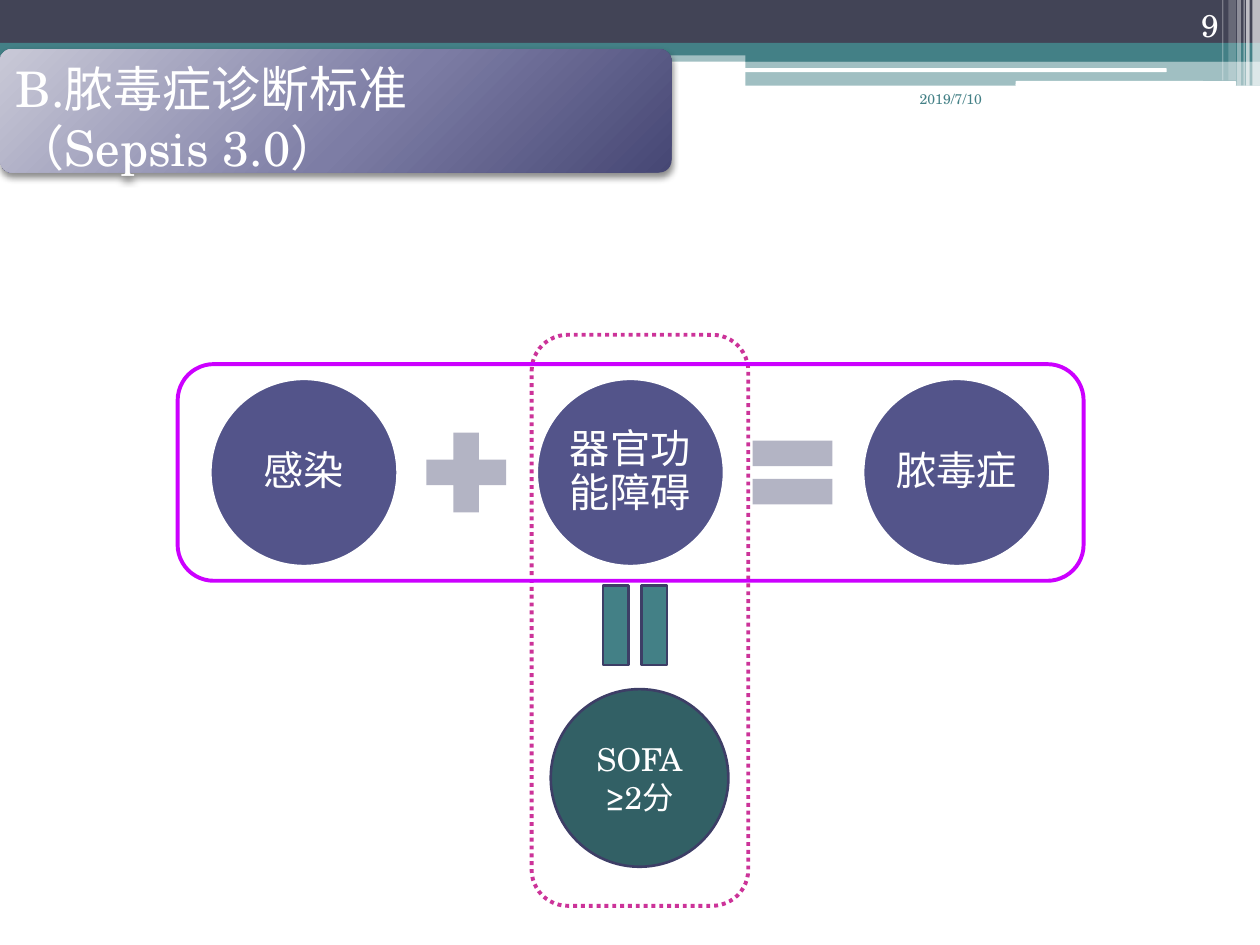
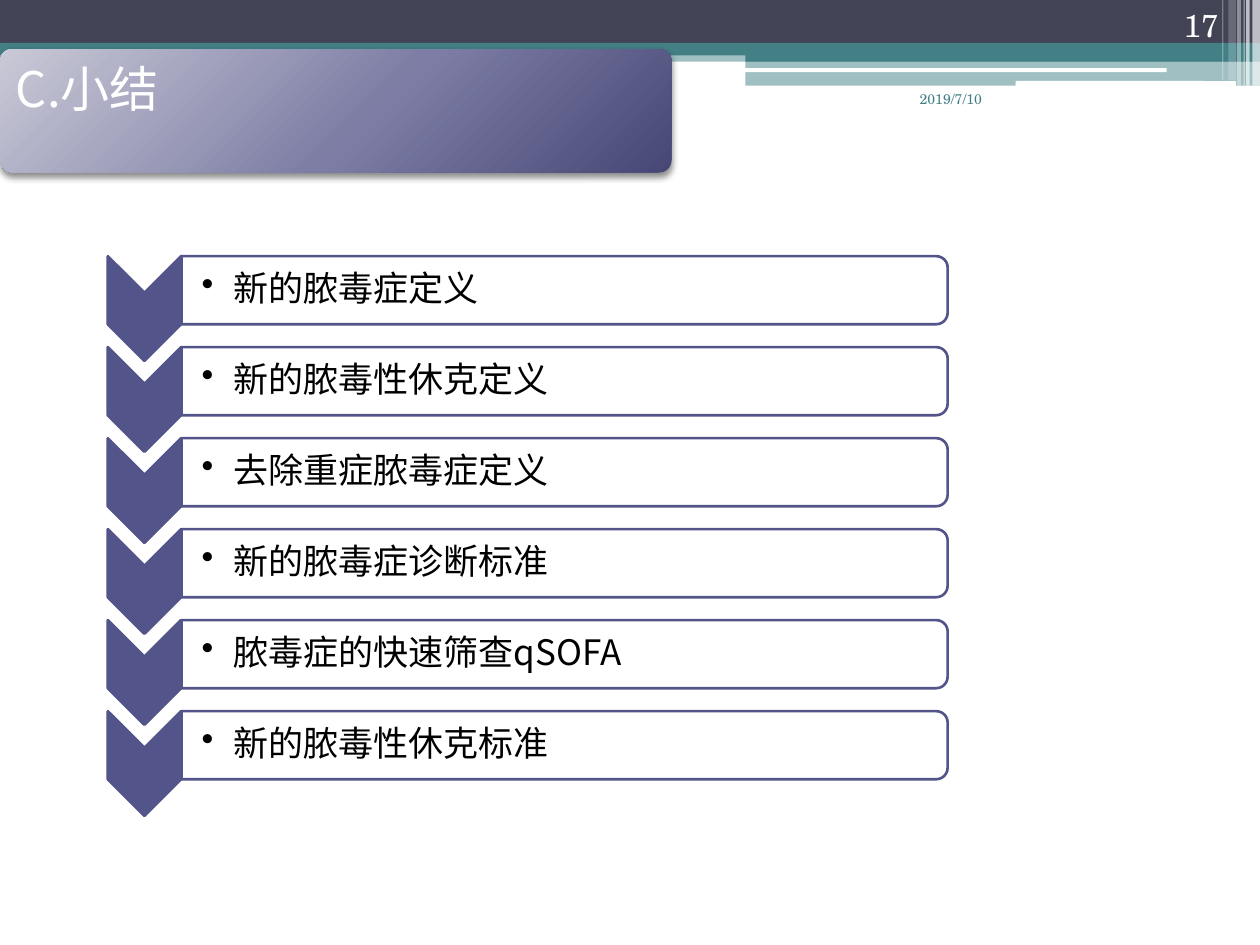
from typing import NamedTuple, Optional

from lxml import etree
from pptx import Presentation
from pptx.dml.color import RGBColor
from pptx.enum.dml import MSO_LINE
from pptx.enum.shapes import MSO_SHAPE
from pptx.enum.text import MSO_ANCHOR, PP_ALIGN
from pptx.oxml import parse_xml
from pptx.oxml.ns import nsdecls, qn
from pptx.util import Pt

RECTANGLE = MSO_SHAPE.RECTANGLE
ROUNDED = MSO_SHAPE.ROUNDED_RECTANGLE
OVAL = MSO_SHAPE.OVAL
PLUS = MSO_SHAPE.MATH_PLUS
EQUAL = MSO_SHAPE.MATH_EQUAL
CHEVRON = MSO_SHAPE.CHEVRON
TWO_ROUND_CORNERS = MSO_SHAPE.ROUND_2_SAME_RECTANGLE
LEFT, CENTER, RIGHT = PP_ALIGN.LEFT, PP_ALIGN.CENTER, PP_ALIGN.RIGHT
TOP, MIDDLE, BOTTOM = MSO_ANCHOR.TOP, MSO_ANCHOR.MIDDLE, MSO_ANCHOR.BOTTOM
DOTTED = MSO_LINE.ROUND_DOT

SERIF = "TeX Gyre Schola"
SANS = "Noto Sans CJK SC"
COLORS = {
    "white": "FFFFFF",
    "black": "000000",
    "slate": "424456",
    "teal": "438086",
    "dark teal": "326065",
    "indigo": "53548A",
    "dark indigo": "3D3E66",
    "gray": "B3B4C4",
    "pink": "CC3399",
    "magenta": "CC00FF",
    "title light": "C9C9D7",
    "title middle": "7D7DA5",
    "title dark": "464774",
}


class Box(NamedTuple):
    left: float
    top: float
    width: float
    height: float


class Line(NamedTuple):
    color: str
    width: float = 1.5
    dash: Optional[int] = None


class Style(NamedTuple):
    size: float
    color: str = "white"
    font: str = SERIF
    align: int = LEFT
    anchor: int = TOP
    spacing: Optional[float] = None
    insets: tuple = (7.2, 3.6, 7.2, 3.6)
    bullet_indent: float = 0


class Band(NamedTuple):
    box: Box
    color: str
    opacity: int = 100
    kind: int = RECTANGLE


# Header bands and the stripes at the right edge
BANDS = [
    Band(Box(0, 28.8, 720, 6.5), "teal", 50),
    Band(Box(0, 0, 720, 24.5), "slate"),
    Band(Box(0, 24.5, 720, 7.2), "teal"),
    Band(Box(426, 28, 294, 7.2), "teal"),
    Band(Box(426, 34.8, 294, 14.2), "teal", 50),
    Band(Box(425.5, 39, 241.2, 2.2), "white", kind=ROUNDED),
    Band(Box(580.3, 46.3, 126, 2.8), "white", kind=ROUNDED),
    Band(Box(715.7, 0, 4.3, 49), "white", 65),
    Band(Box(712.1, 0, 2.1, 49), "white", 65),
    Band(Box(710.6, 0, 0.7, 49), "white", 60),
    Band(Box(707, 0, 2.1, 49), "white", 40),
    Band(Box(702, 0, 4.3, 46), "white", 20),
    Band(Box(698.4, 0, 0.7, 46), "white", 30),
]
TITLE_BOX = Box(0, 28, 383.8, 70.6)
DATE_BOX = Box(518.4, 48.2, 75.6, 36)
NUMBER_BOX = Box(643.7, 0, 59.8, 28.8)

CIRCLE_TEXT = Style(23, align=CENTER, anchor=MIDDLE, spacing=0.9, insets=(2.2,) * 4)
SOFA_TEXT = Style(18, align=CENTER, anchor=MIDDLE)
ITEM_TEXT = Style(20, "black", SANS, anchor=MIDDLE, spacing=0.9,
                  insets=(11.5, 0.7, 0.7, 0.7), bullet_indent=18)

SUMMARY_ITEMS = [
    "新的脓毒症定义",
    "新的脓毒性休克定义",
    "去除重症脓毒症定义",
    "新的脓毒症诊断标准",
    "脓毒症的快速筛查qSOFA",
    "新的脓毒性休克标准",
]


def rgb(name: str) -> RGBColor:
    return RGBColor.from_string(COLORS[name])


def add_figure(slide, kind: int, box: Box, fill: Optional[str] = None,
               line: Optional[Line] = None, opacity: int = 100, rotation: int = 0):
    """Draw a preset shape; box is the area it covers after a quarter turn."""
    left, top, width, height = box
    if rotation in (90, 270):
        left += (width - height) / 2
        top += (height - width) / 2
        width, height = height, width
    shape = slide.shapes.add_shape(kind, Pt(left), Pt(top), Pt(width), Pt(height))
    shape.rotation = rotation
    shape.shadow.inherit = False
    if fill:
        shape.fill.solid()
        shape.fill.fore_color.rgb = rgb(fill)
        if opacity < 100:
            color = shape.fill._xPr.find(".//" + qn("a:srgbClr"))
            etree.SubElement(color, qn("a:alpha"), val=str(opacity * 1000))
    else:
        shape.fill.background()
    if line:
        shape.line.color.rgb = rgb(line.color)
        shape.line.width = Pt(line.width)
        if line.dash:
            shape.line.dash_style = line.dash
    else:
        shape.line.fill.background()
    return shape


def write_text(shape, lines: list[str], style: Style) -> None:
    frame = shape.text_frame
    frame.word_wrap = True
    frame.vertical_anchor = style.anchor
    (frame.margin_left, frame.margin_top,
     frame.margin_right, frame.margin_bottom) = map(Pt, style.insets)
    for index, text in enumerate(lines):
        paragraph = frame.add_paragraph() if index else frame.paragraphs[0]
        paragraph.alignment = style.align
        if style.spacing:
            paragraph.line_spacing = style.spacing
        if style.bullet_indent:
            properties = paragraph._p.get_or_add_pPr()
            properties.set("marL", str(Pt(style.bullet_indent)))
            properties.set("indent", str(-Pt(style.bullet_indent)))
            etree.SubElement(properties, qn("a:buChar"), char="•")
        run = paragraph.add_run()
        run.text = text
        run.font.size = Pt(style.size)
        run.font.name = style.font
        run.font.color.rgb = rgb(style.color)
        east_asian = etree.Element(qn("a:ea"), typeface=SANS)
        run.font._element.find(qn("a:latin")).addnext(east_asian)


def add_text(slide, box: Box, text: str, style: Style) -> None:
    write_text(slide.shapes.add_textbox(*map(Pt, box)), [text], style)


def add_header(slide, number: int) -> None:
    for band in BANDS:
        add_figure(slide, band.kind, band.box, band.color, opacity=band.opacity)
    add_text(slide, DATE_BOX, "2019/7/10", Style(8, "teal"))
    add_text(slide, NUMBER_BOX, str(number), Style(18, align=RIGHT, anchor=BOTTOM))


def add_title(slide, lines: list[str], font: str) -> None:
    """Draw the title plate with its radial gradient and soft shadow."""
    shape = add_figure(slide, ROUNDED, TITLE_BOX)
    shape.adjustments[0] = 0.1
    stops = "".join(
        f'<a:gs pos="{position * 1000}"><a:srgbClr val="{COLORS[name]}"/></a:gs>'
        for position, name in ((0, "title light"), (55, "title middle"), (100, "title dark")))
    gradient = parse_xml(
        f'<a:gradFill {nsdecls("a")} rotWithShape="1"><a:gsLst>{stops}</a:gsLst>'
        '<a:path path="circle"><a:fillToRect l="-40000" t="-90000" r="140000" b="190000"/>'
        '</a:path></a:gradFill>')
    properties = shape._element.spPr
    properties.replace(properties.find(qn("a:noFill")), gradient)
    properties.find(qn("a:effectLst")).append(parse_xml(
        f'<a:outerShdw {nsdecls("a")} blurRad="{Pt(4)}" dist="{Pt(2)}" dir="5400000" '
        f'rotWithShape="0"><a:srgbClr val="{COLORS["black"]}"><a:alpha val="45000"/>'
        '</a:srgbClr></a:outerShdw>'))
    write_text(shape, lines, Style(28, font=font))


def build_diagnosis_slide(slide) -> None:
    add_header(slide, 9)

    # Equation: infection plus organ dysfunction equals sepsis
    pitch = 186.5
    terms = [("感染", PLUS), ("器官功能障碍", EQUAL), ("脓毒症", None)]
    for index, (term, operator) in enumerate(terms):
        left = 120.2 + index * pitch
        circle = add_figure(slide, OVAL, Box(left, 216.5, 107, 107), "indigo", Line("white"))
        write_text(circle, [term], CIRCLE_TEXT)
        if operator:
            add_figure(slide, operator, Box(left + 115.2, 239, 62, 62), "gray")

    # Scoring criterion below organ dysfunction
    sofa = add_figure(slide, OVAL, Box(314.7, 393.8, 101.5, 101.5), "dark teal",
                      Line("dark indigo"))
    write_text(sofa, ["SOFA≥2分"], SOFA_TEXT)
    add_figure(slide, EQUAL, Box(331.9, 326.2, 62, 62), "teal", Line("dark indigo"),
               rotation=270)

    # Frames around the column and the equation
    add_figure(slide, ROUNDED, Box(303.8, 191.3, 123.8, 326.3),
               line=Line("pink", 2.25, DOTTED))
    add_figure(slide, ROUNDED, Box(101.5, 208.1, 517.7, 123.8), line=Line("magenta", 2.25))

    add_title(slide, ["B.脓毒症诊断标准", "（Sepsis 3.0）"], SERIF)


def build_summary_slide(slide) -> None:
    add_header(slide, 17)
    add_title(slide, ["C.小结"], SANS)

    # Chevron list
    pitch = 52
    outline = Line("indigo")
    for index, item in enumerate(SUMMARY_ITEMS):
        top = 146.4 + index * pitch
        add_figure(slide, CHEVRON, Box(61.6, top, 41.8, 59.8), "indigo", outline, rotation=90)
        add_figure(slide, TWO_ROUND_CORNERS, Box(103.7, top, 437.8, 38.9), "white", outline,
                   opacity=90, rotation=90)
        add_text(slide, Box(103.7, top + 1.9, 436.3, 35.3), item, ITEM_TEXT)


def main() -> None:
    presentation = Presentation()
    presentation.slide_width, presentation.slide_height = Pt(720), Pt(540)
    blank = presentation.slide_layouts[6]
    for build in (build_diagnosis_slide, build_summary_slide):
        build(presentation.slides.add_slide(blank))
    presentation.save("out.pptx")


if __name__ == "__main__":
    main()
